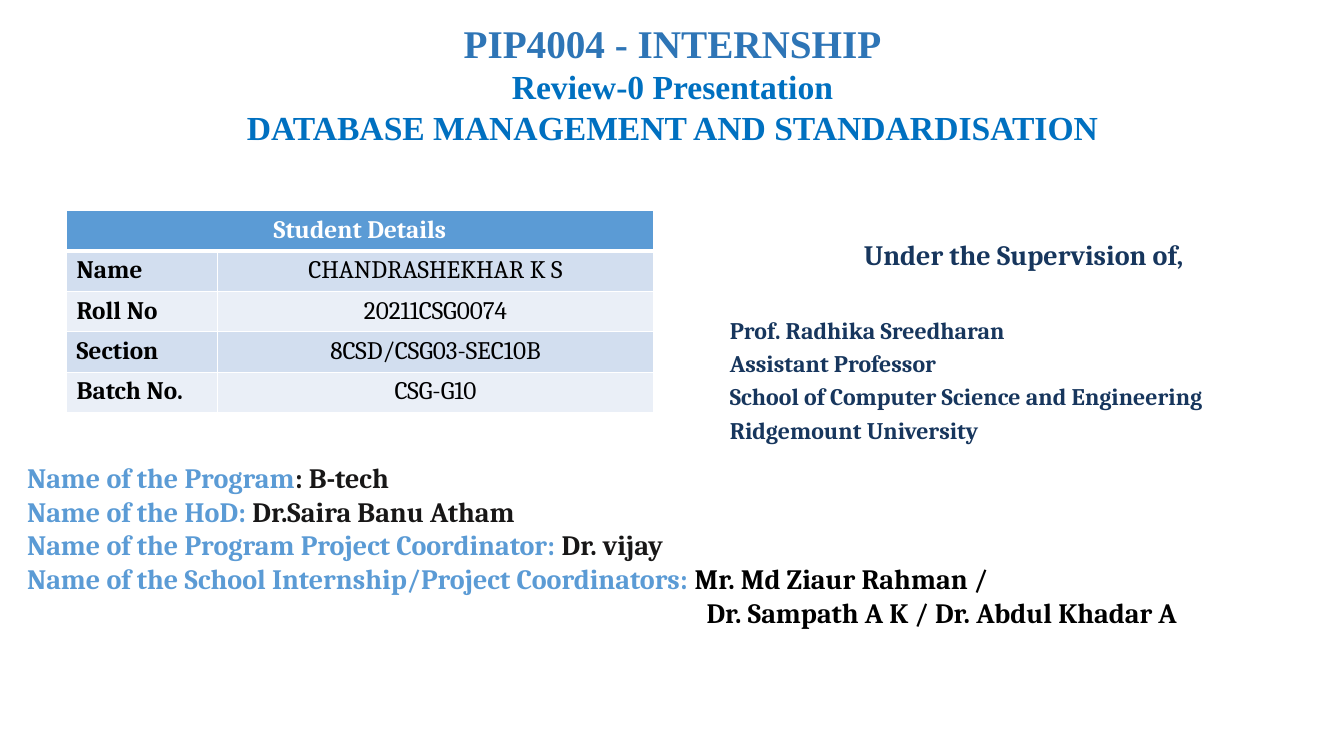
from pptx import Presentation
from pptx.dml.color import RGBColor
from pptx.enum.text import PP_ALIGN
from pptx.oxml import parse_xml
from pptx.oxml.ns import nsdecls
from pptx.util import Inches, Pt

COLORS = {
    "title": "2E75B6", "subtitle": "0070C0", "navy": "17365D",
    "blue": "5B9BD5", "charcoal": "181717", "black": "000000",
    "white": "FFFFFF", "band_dark": "D2DEEF", "band_light": "EAEFF7",
}
SERIF = "Cambria"
TITLE_FONT = "Times New Roman"

TITLE_LINES = [
    ("PIP4004 - INTERNSHIP", 28, "title"),
    ("Review-0 Presentation", 24, "subtitle"),
    ("DATABASE MANAGEMENT AND STANDARDISATION", 24, "subtitle"),
]
STUDENT_DETAILS = [
    ("Name", "CHANDRASHEKHAR K S"),
    ("Roll No", "20211CSG0074"),
    ("Section", "8CSD/CSG03-SEC10B"),
    ("Batch No.", "CSG-G10"),
]
SUPERVISOR_LINES = [
    "Prof. Radhika Sreedharan",
    "Assistant Professor",
    "School of Computer Science and Engineering",
    "Ridgemount University",
]
PROGRAM_LINES = [
    ("Name of the Program", ": B-tech", "charcoal"),
    ("Name of the HoD: ", "Dr.Saira Banu Atham", "charcoal"),
    ("Name of the Program Project Coordinator: ", "Dr. vijay", "charcoal"),
    ("Name of the School Internship/Project Coordinators: ",
     "Mr. Md Ziaur Rahman /", "black"),
]
SECOND_COORDINATORS = "Dr. Sampath A K / Dr. Abdul Khadar A"


def style_font(font, size, color, name=SERIF, bold=True):
    font.name = name
    font.size = Pt(size)
    font.bold = bold
    font.color.rgb = RGBColor.from_string(COLORS[color])


def add_text_frame(page, left, top, width, height):
    box = page.shapes.add_textbox(Inches(left), Inches(top), Inches(width), Inches(height))
    box.text_frame.word_wrap = True
    return box.text_frame


def add_para(frame, spans, size, name=SERIF, align=PP_ALIGN.LEFT, before=0):
    """Add one paragraph of (text, color) spans, using the empty first one if free."""
    first = frame.paragraphs[0]
    para = frame.add_paragraph() if first.runs else first
    para.alignment = align
    para.space_before = Pt(before)
    for text, color in spans:
        span = para.add_run()
        span.text = text
        style_font(span.font, size, color, name)
    return para


def set_borders(cell, top=1, bottom=1):
    properties = cell._tc.get_or_add_tcPr()
    for position, (side, width) in enumerate(
            [("lnL", 1), ("lnR", 1), ("lnT", top), ("lnB", bottom)]):
        properties.insert(position, parse_xml(
            f'<a:{side} {nsdecls("a")} w="{Pt(width)}"><a:solidFill>'
            f'<a:srgbClr val="{COLORS["white"]}"/></a:solidFill></a:{side}>'))


def fill_cell(cell, text, fill, color="black", bold=True, align=PP_ALIGN.LEFT):
    cell.fill.solid()
    cell.fill.fore_color.rgb = RGBColor.from_string(COLORS[fill])
    para = cell.text_frame.paragraphs[0]
    para.text = text
    para.alignment = align
    style_font(para.font, 18, color, bold=bold)


def add_student_table(page):
    row_count = len(STUDENT_DETAILS) + 1
    table = page.shapes.add_table(
        row_count, 2, Inches(0.66), Inches(2.09),
        Inches(5.82), Inches(0.4 * row_count)).table
    for column, width in zip(table.columns, (1.5, 4.32)):
        column.width = Inches(width)

    # Header across both columns
    table.cell(0, 0).merge(table.cell(0, 1))
    fill_cell(table.cell(0, 0), "Student Details", "blue", "white", align=PP_ALIGN.CENTER)

    # Banded label and value rows
    for row, (label, value) in enumerate(STUDENT_DETAILS, start=1):
        band = "band_dark" if row % 2 else "band_light"
        fill_cell(table.cell(row, 0), label, band)
        fill_cell(table.cell(row, 1), value, band, bold=False, align=PP_ALIGN.CENTER)

    # White rules, thicker below the header
    for row in range(row_count):
        for column in range(2):
            set_borders(table.cell(row, column),
                        top=3 if row == 1 else 1, bottom=3 if row == 0 else 1)


def add_title(page):
    frame = add_text_frame(page, 0.92, 0.14, 11.5, 1.71)
    for text, size, color in TITLE_LINES:
        add_para(frame, [(text, color)], size, TITLE_FONT, PP_ALIGN.CENTER)


def add_supervisor(page):
    frame = add_text_frame(page, 7.14, 2.31, 6.03, 2.21)
    add_para(frame, [("Under the Supervision of,", "navy")], 20, align=PP_ALIGN.CENTER)
    for index, text in enumerate(SUPERVISOR_LINES):
        add_para(frame, [(text, "navy")], 17, before=3.4 if index else 31.4)


def add_program_details(page):
    frame = add_text_frame(page, 0.17, 4.52, 13.4, 1.71)
    for label, value, color in PROGRAM_LINES:
        add_para(frame, [(label, "blue"), (value, color)], 20)
    # Continuation line, indented under the coordinators
    para = add_para(frame, [(SECOND_COORDINATORS, "black")], 20)
    para._p.get_or_add_pPr().set("marL", str(Inches(6.74)))


def main():
    deck = Presentation()
    deck.slide_width = Inches(13.33)
    deck.slide_height = Inches(7.5)
    page = deck.slides.add_slide(deck.slide_layouts[6])
    add_supervisor(page)
    add_program_details(page)
    add_title(page)
    add_student_table(page)
    deck.save("out.pptx")


if __name__ == "__main__":
    main()
